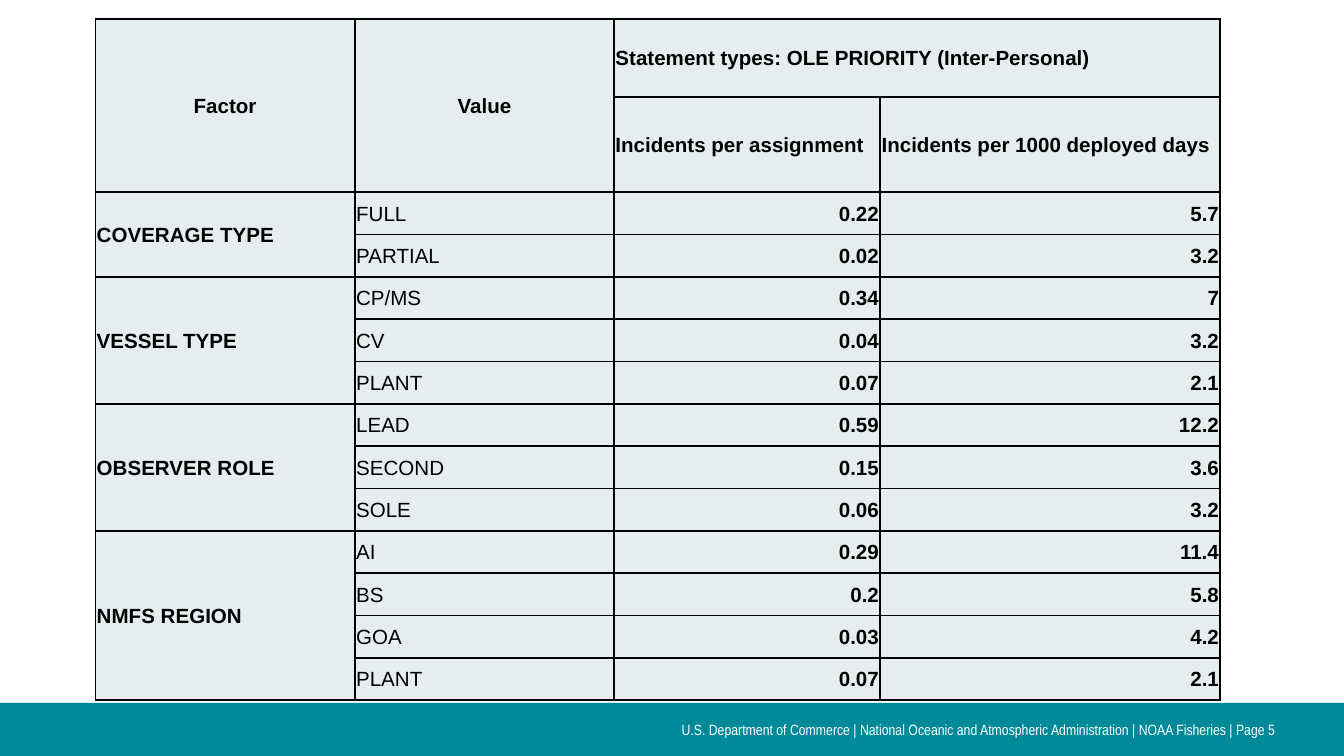
from dataclasses import dataclass
from typing import NamedTuple

from lxml.etree import SubElement
from pptx import Presentation
from pptx.dml.color import RGBColor
from pptx.enum.shapes import MSO_SHAPE
from pptx.enum.text import MSO_ANCHOR, PP_ALIGN
from pptx.oxml import parse_xml
from pptx.oxml.ns import nsdecls, qn
from pptx.util import Inches, Pt


@dataclass(frozen=True)
class Theme:
    band: str = "008998"
    cell: str = "E7EDEF"
    ink: str = "000000"
    paper: str = "FFFFFF"
    table_font: str = "Arial"
    footer_font: str = "Arial Narrow"
    table_size: int = 11
    footer_size: int = 8
    border: int = 1


class Area(NamedTuple):
    """Left, top, width and height as shares of the slide's size."""
    left: float
    top: float
    width: float
    height: float


class Measure(NamedTuple):
    value: str
    per_assignment: str
    per_thousand_days: str


class Factor(NamedTuple):
    name: str
    measures: list[Measure]


THEME = Theme()
SLIDE_WIDTH = Inches(10)
SLIDE_HEIGHT = SLIDE_WIDTH * 9 // 16

BAND_AREA = Area(0, 0.93, 1, 0.07)
FOOTER_AREA = Area(0.25, 0.93, 0.7, 0.07)
TABLE_LEFT, TABLE_TOP = Inches(0.71), Inches(0.14)
COLUMN_WIDTHS = [1.93, 1.93, 1.98, 2.53]
HEADER_HEIGHTS = [0.58, 0.71]
TABLE_BOTTOM = 5.21

FOOTER = " | ".join([
    "U.S. Department of Commerce",
    "National Oceanic and Atmospheric Administration",
    "NOAA Fisheries",
    "Page 5",
])
FACTORS = [
    Factor("COVERAGE TYPE", [
        Measure("FULL", "0.22", "5.7"),
        Measure("PARTIAL", "0.02", "3.2"),
    ]),
    Factor("VESSEL TYPE", [
        Measure("CP/MS", "0.34", "7"),
        Measure("CV", "0.04", "3.2"),
        Measure("PLANT", "0.07", "2.1"),
    ]),
    Factor("OBSERVER ROLE", [
        Measure("LEAD", "0.59", "12.2"),
        Measure("SECOND", "0.15", "3.6"),
        Measure("SOLE", "0.06", "3.2"),
    ]),
    Factor("NMFS REGION", [
        Measure("AI", "0.29", "11.4"),
        Measure("BS", "0.2", "5.8"),
        Measure("GOA", "0.03", "4.2"),
        Measure("PLANT", "0.07", "2.1"),
    ]),
]


def place(area: Area) -> tuple[int, int, int, int]:
    return (int(area.left * SLIDE_WIDTH), int(area.top * SLIDE_HEIGHT),
            int(area.width * SLIDE_WIDTH), int(area.height * SLIDE_HEIGHT))


def apply(target, values: dict) -> None:
    for name, value in values.items():
        setattr(target, name, value)


def write(frame, text: str, align, color: str, **font_values) -> None:
    para = frame.paragraphs[0]
    para.alignment = align
    span = para.add_run()
    span.text = text
    apply(span.font, font_values)
    span.font.color.rgb = RGBColor.from_string(color)


def write_cell(cell, text: str, align=PP_ALIGN.LEFT, bold: bool = True) -> None:
    write(cell.text_frame, text, align, THEME.ink,
          name=THEME.table_font, size=Pt(THEME.table_size), bold=bold)


def style_cell(cell) -> None:
    apply(cell, {
        "vertical_anchor": MSO_ANCHOR.MIDDLE,
        "margin_left": Inches(0.01),
        "margin_right": Inches(0.01),
        "margin_top": Inches(0.01),
        "margin_bottom": 0,
    })
    cell.fill.solid()
    cell.fill.fore_color.rgb = RGBColor.from_string(THEME.cell)
    # Border lines come before the fill in the cell's properties
    properties = cell._tc.get_or_add_tcPr()
    for index, side in enumerate(["lnL", "lnR", "lnT", "lnB"]):
        line = parse_xml(f'<a:{side} {nsdecls("a")} w="{Pt(THEME.border)}"/>')
        fill = SubElement(line, qn("a:solidFill"))
        SubElement(fill, qn("a:srgbClr"), val=THEME.ink)
        properties.insert(index, line)


def draw_footer(page) -> None:
    band = page.shapes.add_shape(MSO_SHAPE.RECTANGLE, *place(BAND_AREA))
    band.shadow.inherit = False
    band.fill.solid()
    band.fill.fore_color.rgb = RGBColor.from_string(THEME.band)
    band.line.fill.background()

    box = page.shapes.add_textbox(*place(FOOTER_AREA))
    apply(box.text_frame, {
        "word_wrap": True,
        "vertical_anchor": MSO_ANCHOR.MIDDLE,
        "margin_left": 0,
        "margin_right": 0,
    })
    write(box.text_frame, FOOTER, PP_ALIGN.RIGHT, THEME.paper,
          name=THEME.footer_font, size=Pt(THEME.footer_size))


def draw_table(page) -> None:
    body_count = sum(len(factor.measures) for factor in FACTORS)
    header_bottom = TABLE_TOP.inches + sum(HEADER_HEIGHTS)
    body_height = (TABLE_BOTTOM - header_bottom) / body_count
    row_heights = HEADER_HEIGHTS + [body_height] * body_count
    table = page.shapes.add_table(
        len(row_heights), len(COLUMN_WIDTHS), TABLE_LEFT, TABLE_TOP,
        Inches(sum(COLUMN_WIDTHS)), Inches(sum(row_heights))).table
    for column, width in zip(table.columns, COLUMN_WIDTHS):
        column.width = Inches(width)
    for row, height in zip(table.rows, row_heights):
        row.height = Inches(height)
    for cell in table.iter_cells():
        style_cell(cell)

    # Header: two tall cells, one wide cell and its two subheads
    for column, text in enumerate(["Factor", "Value"]):
        table.cell(0, column).merge(table.cell(1, column))
        write_cell(table.cell(0, column), text, PP_ALIGN.CENTER)
    table.cell(0, 2).merge(table.cell(0, 3))
    write_cell(table.cell(0, 2), "Statement types: OLE PRIORITY (Inter-Personal)")
    write_cell(table.cell(1, 2), "Incidents per assignment")
    write_cell(table.cell(1, 3), "Incidents per 1000 deployed days")

    # Body: each factor spans the rows of its measures
    row = len(HEADER_HEIGHTS)
    for factor in FACTORS:
        first = table.cell(row, 0)
        first.merge(table.cell(row + len(factor.measures) - 1, 0))
        write_cell(first, factor.name)
        for measure in factor.measures:
            write_cell(table.cell(row, 1), measure.value, bold=False)
            write_cell(table.cell(row, 2), measure.per_assignment, PP_ALIGN.RIGHT)
            write_cell(table.cell(row, 3), measure.per_thousand_days, PP_ALIGN.RIGHT)
            row += 1


def main() -> None:
    deck = Presentation()
    apply(deck, {"slide_width": SLIDE_WIDTH, "slide_height": SLIDE_HEIGHT})
    page = deck.slides.add_slide(deck.slide_layouts[6])
    draw_footer(page)
    draw_table(page)
    deck.save("out.pptx")


if __name__ == "__main__":
    main()
